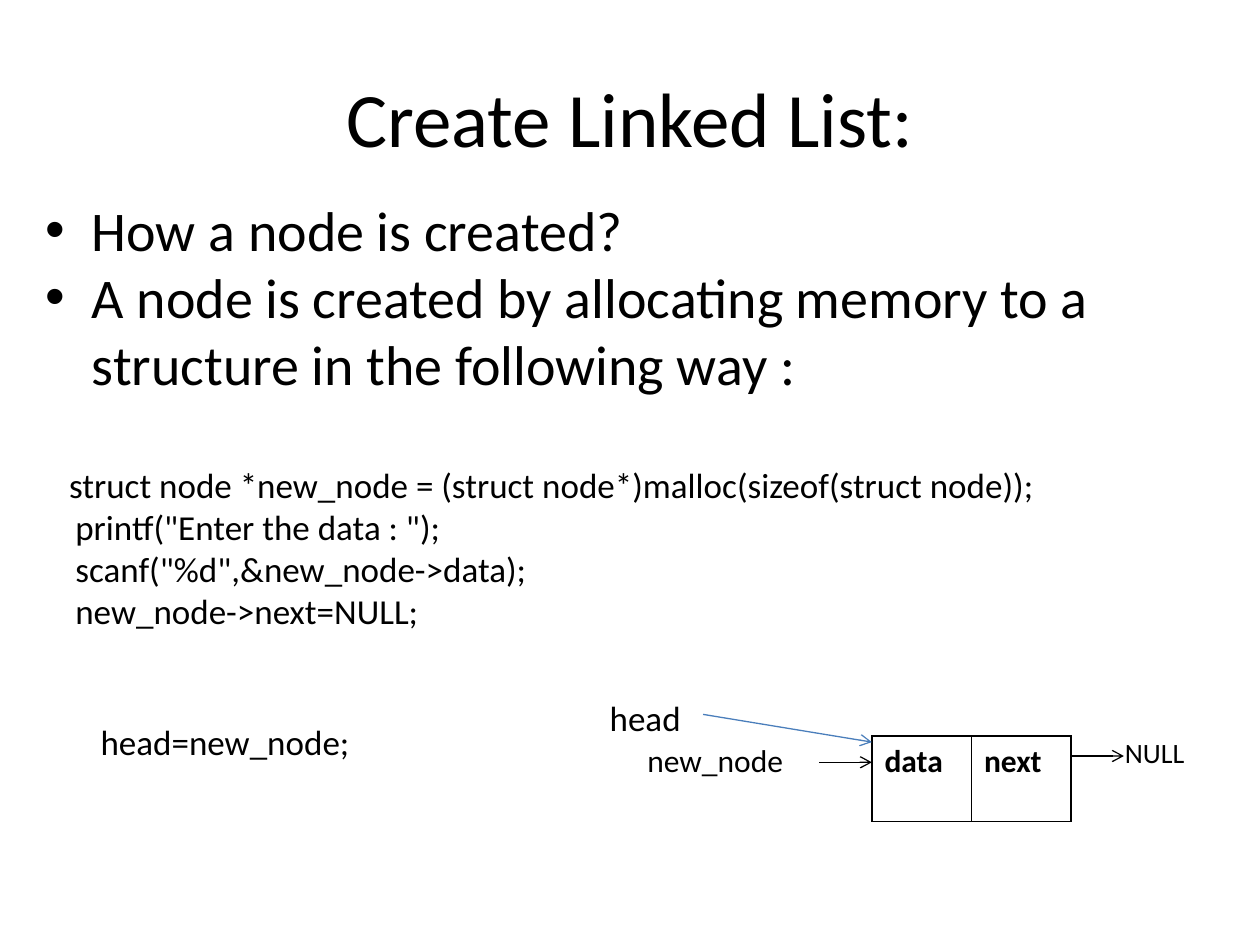
from dataclasses import dataclass

from lxml.etree import SubElement
from pptx import Presentation
from pptx.dml.color import RGBColor
from pptx.enum.shapes import MSO_CONNECTOR
from pptx.enum.text import MSO_ANCHOR as Anchor, PP_ALIGN as Align
from pptx.oxml.ns import qn
from pptx.util import Inches, Pt

BLACK = "000000"
BLUE = "4A7EBB"
FONT = "Calibri"


@dataclass
class Label:
    text: str
    left: float
    top: float
    width: float
    height: float
    size: int
    wrap: bool = True
    align: Align = Align.LEFT
    anchor: Anchor = Anchor.TOP


@dataclass
class Line:
    text: str
    size: int
    margin: float
    bullet: bool = False
    space_before: int = 0


@dataclass
class Arrow:
    start: tuple[float, float]
    end: tuple[float, float]
    color: str


def rgb(color: str) -> RGBColor:
    return RGBColor.from_string(color)


def style(paragraph, size: int, bold: bool = False) -> None:
    for run in paragraph.runs:
        run.font.name = FONT
        run.font.size = Pt(size)
        run.font.bold = bold
        run.font.color.rgb = rgb(BLACK)


def draw_label(slide, label: Label):
    box = slide.shapes.add_textbox(Inches(label.left), Inches(label.top),
                                   Inches(label.width), Inches(label.height))
    frame = box.text_frame
    frame.word_wrap = label.wrap
    frame.vertical_anchor = label.anchor
    frame.text = label.text
    for paragraph in frame.paragraphs:
        paragraph.alignment = label.align
        style(paragraph, label.size)
    return frame


def format_line(paragraph, line: Line) -> None:
    style(paragraph, line.size)
    paragraph.space_before = Pt(line.space_before)
    properties = paragraph._p.get_or_add_pPr()
    properties.set("marL", str(Inches(line.margin)))
    if line.bullet:
        properties.set("indent", str(Inches(-0.37)))
        SubElement(properties, qn("a:buFont"), typeface="Arial")
        SubElement(properties, qn("a:buChar"), char="•")


def draw_arrow(slide, arrow: Arrow) -> None:
    points = [Inches(value) for value in arrow.start + arrow.end]
    connector = slide.shapes.add_connector(MSO_CONNECTOR.STRAIGHT, *points)
    connector.line.color.rgb = rgb(arrow.color)
    connector.line.width = Pt(0.75)
    SubElement(connector.line._get_or_add_ln(), qn("a:tailEnd"), type="arrow")
    SubElement(connector._element.spPr, qn("a:effectLst"))


def draw_border(cell) -> None:
    properties = cell._tc.get_or_add_tcPr()
    for index, side in enumerate(("lnL", "lnR", "lnT", "lnB")):
        border = SubElement(properties, qn(f"a:{side}"), w=str(Pt(0.96)))
        fill = SubElement(border, qn("a:solidFill"))
        SubElement(fill, qn("a:srgbClr"), val=BLACK)
        properties.insert(index, border)


def draw_node(slide, fields: list[str]) -> None:
    node = slide.shapes.add_table(1, len(fields), Inches(6.92), Inches(5.84),
                                  Inches(1.58), Inches(0.68)).table
    for cell, field in zip(node.iter_cells(), fields):
        cell.text_frame.text = field
        style(cell.text_frame.paragraphs[0], 18, bold=True)
        cell.fill.background()
        draw_border(cell)


LABELS = [
    Label("Create Linked List:", 0.5, 0.3, 9, 1.25, 44,
          align=Align.CENTER, anchor=Anchor.MIDDLE),
    Label("new_node", 5.04, 5.83, 1.54, 0.4, 18),
    Label("NULL", 8.83, 5.79, 0.83, 0.36, 16),
    Label("head=new_node;", 0.7, 5.67, 2.63, 0.43, 20, wrap=False),
    Label("head", 4.74, 5.48, 0.89, 0.43, 20, wrap=False),
]
LINES = [
    Line("How a node is created?", 32, 0.38, bullet=True),
    Line("A node is created by allocating memory to a structure in the following way :",
         32, 0.38, bullet=True),
    Line("struct node *new_node = (struct node*)malloc(sizeof(struct node));",
         20, 0.2, space_before=38),
    Line('printf("Enter the data : ");', 20, 0.25),
    Line('scanf("%d",&new_node->data);', 20, 0.25),
    Line("new_node->next=NULL;", 20, 0.25),
]
ARROWS = [
    Arrow((6.5, 6.05), (6.92, 6.05), BLACK),
    Arrow((8.5, 6), (8.92, 6), BLACK),
    Arrow((5.58, 5.67), (6.92, 5.89), BLUE),
]

presentation = Presentation()
presentation.slide_width = Inches(10)
presentation.slide_height = Inches(7.5)
slide = presentation.slides.add_slide(presentation.slide_layouts[6])

explanation = draw_label(slide, Label("\n".join(line.text for line in LINES),
                                      0.25, 1.5, 9.5, 4.17, 32))
for paragraph, line in zip(explanation.paragraphs, LINES):
    format_line(paragraph, line)
draw_node(slide, ["data", "next"])
for label in LABELS:
    draw_label(slide, label)
for arrow in ARROWS:
    draw_arrow(slide, arrow)

presentation.save("out.pptx")
